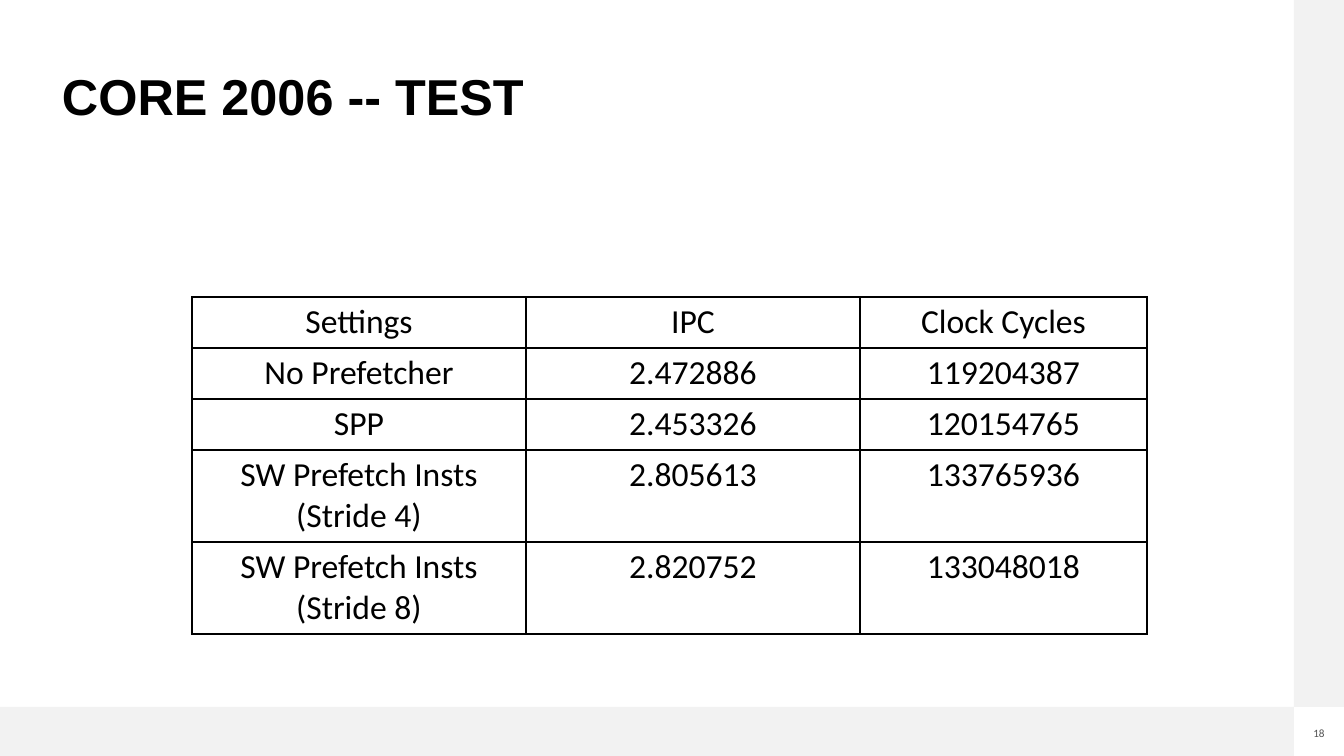
"""Build the CORE 2006 test results slide."""
import lxml.etree
import pptx
import pptx.dml.color
import pptx.enum.shapes
import pptx.enum.text
import pptx.oxml.ns
import pptx.util

PX = 12192000 / 1344
BLACK = pptx.dml.color.RGBColor(0x00, 0x00, 0x00)
GRAY = pptx.dml.color.RGBColor(0x52, 0x52, 0x52)
LIGHT_GRAY = pptx.dml.color.RGBColor(0xF2, 0xF2, 0xF2)
CENTER = pptx.enum.text.PP_ALIGN.CENTER


def px(*lengths):
    return [pptx.util.Emu(round(length * PX)) for length in lengths]


def add_run(paragraph, text, font_name, size, color, bold=False):
    run = paragraph.add_run()
    run.text = text
    run.font.name = font_name
    run.font.size = pptx.util.Pt(size)
    run.font.bold = bold
    run.font.color.rgb = color


presentation = pptx.Presentation()
presentation.slide_width, presentation.slide_height = px(1344, 756)
slide = presentation.slides.add_slide(presentation.slide_layouts[6])

for bar_box in [(0, 707, 1294, 49), (1294, 0, 50, 707)]:
    bar = slide.shapes.add_shape(pptx.enum.shapes.MSO_SHAPE.RECTANGLE, *px(*bar_box))
    bar.shadow.inherit = False
    bar.fill.solid()
    bar.fill.fore_color.rgb = LIGHT_GRAY
    bar.line.fill.background()

page_number = slide.shapes.add_textbox(*px(1312, 726, 14, 13))
title = slide.shapes.add_textbox(*px(62, 56, 1214, 86))
for box in (page_number, title):
    frame = box.text_frame
    frame.margin_left = frame.margin_right = frame.margin_top = frame.margin_bottom = 0

page_number.text_frame.word_wrap = False
paragraph = page_number.text_frame.paragraphs[0]
paragraph.alignment = CENTER
add_run(paragraph, "18", "Calibri", 8, GRAY)

title.text_frame.word_wrap = True
title.text_frame.vertical_anchor = pptx.enum.text.MSO_ANCHOR.MIDDLE
paragraph = title.text_frame.paragraphs[0]
paragraph.line_spacing = 0.9
add_run(paragraph, "CORE 2006 -- TEST", "Arial", 36, BLACK, bold=True)

results = [
    ("Settings", "IPC", "Clock Cycles"),
    ("No Prefetcher", "2.472886", "119204387"),
    ("SPP", "2.453326", "120154765"),
    ("SW Prefetch Insts (Stride 4)", "2.805613", "133765936"),
    ("SW Prefetch Insts (Stride 8)", "2.820752", "133048018"),
]
column_widths = [334, 334, 287]
row_heights = [51, 51, 51, 92, 92]

table = slide.shapes.add_table(
    len(results), len(column_widths), *px(192, 297, sum(column_widths), sum(row_heights))
).table
table.first_row = False
table.horz_banding = False
for column, width in zip(table.columns, px(*column_widths)):
    column.width = width
for row, height, values in zip(table.rows, px(*row_heights), results):
    row.height = height
    for cell, value in zip(row.cells, values):
        paragraph = cell.text_frame.paragraphs[0]
        paragraph.alignment = CENTER
        add_run(paragraph, value, "Calibri", 24, BLACK)
        properties = cell._tc.get_or_add_tcPr()
        for side in ("a:lnL", "a:lnR", "a:lnT", "a:lnB"):
            border = lxml.etree.SubElement(properties, pptx.oxml.ns.qn(side), w="12700")
            fill = lxml.etree.SubElement(border, pptx.oxml.ns.qn("a:solidFill"))
            lxml.etree.SubElement(fill, pptx.oxml.ns.qn("a:srgbClr"), val=str(BLACK))
        cell.fill.background()

presentation.save("out.pptx")
